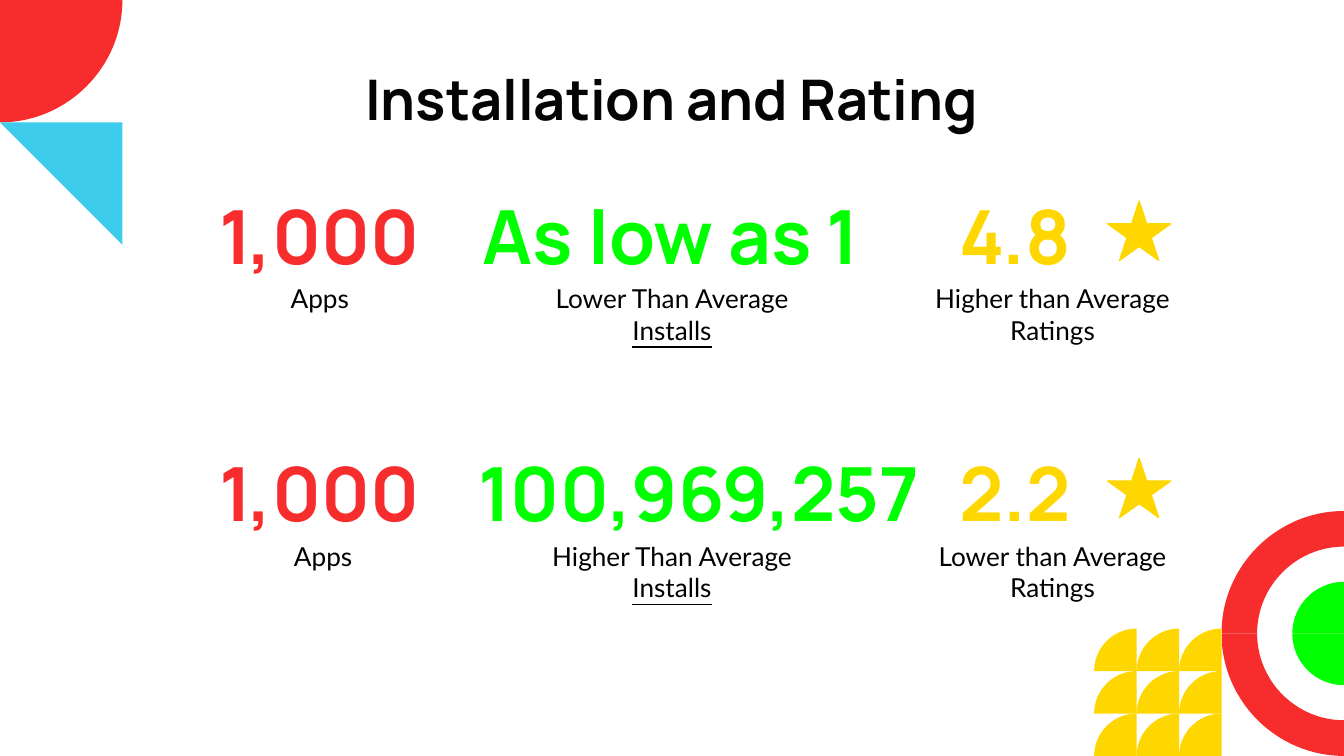
import math

from lxml import etree
from pptx import Presentation
from pptx import util as u
from pptx.dml.color import RGBColor
from pptx.enum import shapes, text
from pptx.oxml import ns

Pt = u.Pt

RED = RGBColor(0xF7, 0x2D, 0x2D)
BLUE = RGBColor(0x3D, 0xCC, 0xEB)
GREEN = RGBColor(0x00, 0xFF, 0x00)
YELLOW = RGBColor(0xFF, 0xD7, 0x00)
WHITE = RGBColor(0xFF, 0xFF, 0xFF)
INK = RGBColor(0x04, 0x04, 0x04)
BLACK = RGBColor(0x00, 0x00, 0x00)

WIDTH, HEIGHT = 720, 405
CORNER = 65.6  # side of the large corner decorations
PETAL = 22.75  # side of the small yellow quarters
ROUND = 0.55  # handle length of a quarter-circle curve, per radius


class SlideBuilder:
    heading_font = "Manrope"
    body_font = "Lato"
    inset = Pt(7.2)

    def __init__(self, slide):
        self.slide = slide

    def outline(self, start, segments, color):
        """Closed outline; a segment is [point] or [handle, handle, point]."""
        builder = self.slide.shapes.build_freeform(Pt(start[0]), Pt(start[1]))
        builder.add_line_segments(
            [(Pt(x), Pt(y)) for segment in segments for x, y in segment], close=True)
        shape = builder.convert_to_shape()
        shape.shadow.inherit = False
        shape.fill.solid()
        shape.fill.fore_color.rgb = color
        shape.line.fill.background()
        # Turn each run of three line steps that stands for a curve into one
        steps = iter(list(shape.element.iter(ns.qn("a:lnTo"))))
        for segment in segments:
            group = [next(steps) for _ in segment]
            if len(group) == 3:
                curve = etree.Element(ns.qn("a:cubicBezTo"))
                group[0].addprevious(curve)
                for step in group:
                    curve.append(step[0])
                    step.getparent().remove(step)

    def square(self, x, y, side, color):
        self.outline((x, y), [[(x, y + side)], [(x + side, y + side)], [(x + side, y)]], color)

    def quarter(self, x, y, radius, start, color, inner=0):
        """Quarter disc or ring around (x, y), clockwise from start degrees."""
        cos, sin = math.cos(math.radians(start)), math.sin(math.radians(start))

        def arc(size):
            return [(x + size * (a * cos - b * sin), y + size * (a * sin + b * cos))
                    for a, b in ((1, 0), (1, ROUND), (ROUND, 1), (0, 1))]

        first, *curve = arc(radius)
        segments = [curve]
        if inner:
            inner_first, *inner_curve = reversed(arc(inner))
            segments += [[inner_first], inner_curve]
        else:
            segments.append([(x, y)])
        self.outline(first, segments, color)

    def star(self, x, y, width, height, color):
        shape = self.slide.shapes.add_shape(
            shapes.MSO_SHAPE.STAR_5_POINT, Pt(x), Pt(y), Pt(width), Pt(height))
        shape.shadow.inherit = False
        shape.fill.solid()
        shape.fill.fore_color.rgb = color
        shape.line.color.rgb = color
        shape.line.width = Pt(0.75)

    def text_box(self, x, y, width, height, content, font, size, color,
                 bold=False, anchor=text.MSO_ANCHOR.TOP, underlined=""):
        shape = self.slide.shapes.add_textbox(Pt(x), Pt(y), Pt(width), Pt(height))
        frame = shape.text_frame
        frame.word_wrap = True
        frame.vertical_anchor = anchor
        frame.margin_left = frame.margin_right = self.inset
        frame.margin_top = frame.margin_bottom = self.inset
        frame.text = content
        paragraph = frame.paragraphs[0]
        paragraph.alignment = text.PP_ALIGN.CENTER
        if underlined:
            run = paragraph.add_run()
            run.text = underlined
            run.font.underline = True
        for run in paragraph.runs:
            run.font.name = font
            run.font.size = Pt(size)
            run.font.bold = bold
            run.font.color.rgb = color

    def title(self, content):
        self.text_box(106.8, 27.4, 506, 50.4, content, self.heading_font, 30, INK, bold=True)

    def figure(self, x, y, width, content, color):
        self.text_box(x, y, width, 57, content, self.heading_font, 40, color,
                      bold=True, anchor=text.MSO_ANCHOR.MIDDLE)

    def caption(self, x, y, height, content, underlined=""):
        self.text_box(x, y, 162.7, height, content, self.body_font, 14, BLACK,
                      underlined=underlined)


def main():
    presentation = Presentation()
    presentation.slide_width, presentation.slide_height = Pt(WIDTH), Pt(HEIGHT)
    builder = SlideBuilder(presentation.slides.add_slide(presentation.slide_layouts[6]))

    # Top left corner
    builder.quarter(0, 0, CORNER, 0, RED)
    builder.outline((0, CORNER), [[(CORNER, CORNER)], [(CORNER, 2 * CORNER)]], BLUE)

    # Target on the right edge, lower half then upper half
    target_x, target_y = WIDTH - CORNER, HEIGHT - CORNER
    builder.square(target_x, target_y, CORNER, WHITE)
    for start in (90, 180):
        builder.quarter(WIDTH, target_y, CORNER, start, RED, inner=46.5)
        builder.quarter(WIDTH, target_y, 27.7, start, GREEN)

    # Grid of yellow quarters, left of the target
    grid_x, grid_y = target_x - 3 * PETAL, HEIGHT - 3 * PETAL
    builder.square(grid_x, grid_y, 3 * PETAL, WHITE)
    for column in range(1, 4):
        for row in range(1, 4):
            builder.quarter(grid_x + column * PETAL, grid_y + row * PETAL, PETAL, 180, YELLOW)

    builder.title("Installation and Rating")

    # Two rows of figures: apps, installs, rating
    rows = [
        (90, ("As low as 1 ", 244.8, 237.6), "Lower Than Average ",
         "4.8", "Higher than Average Ratings"),
        (91.8, ("100,969,257", 249, 250.6), "Higher Than Average ",
         "2.2", "Lower than Average Ratings"),
    ]
    for index, (apps_x, installs, installs_note, rating, rating_note) in enumerate(rows):
        top = 97.2 + 137.8 * index
        note_top = top + 47.1
        installs_text, installs_x, installs_width = installs
        builder.figure(105, top, 132.5, "1,000", RED)
        builder.caption(apps_x, note_top, 31.7, "Apps")
        builder.figure(installs_x, top, installs_width, installs_text, GREEN)
        builder.figure(482.4, top, 123, rating, YELLOW)
        builder.star(593.4, top + 10.6, 33.8, 31.7, YELLOW)
        builder.caption(278.7, note_top, 48.2, installs_note, underlined="Installs")
        builder.caption(482.5, note_top, 48.2, rating_note)

    presentation.save("out.pptx")


if __name__ == "__main__":
    main()
